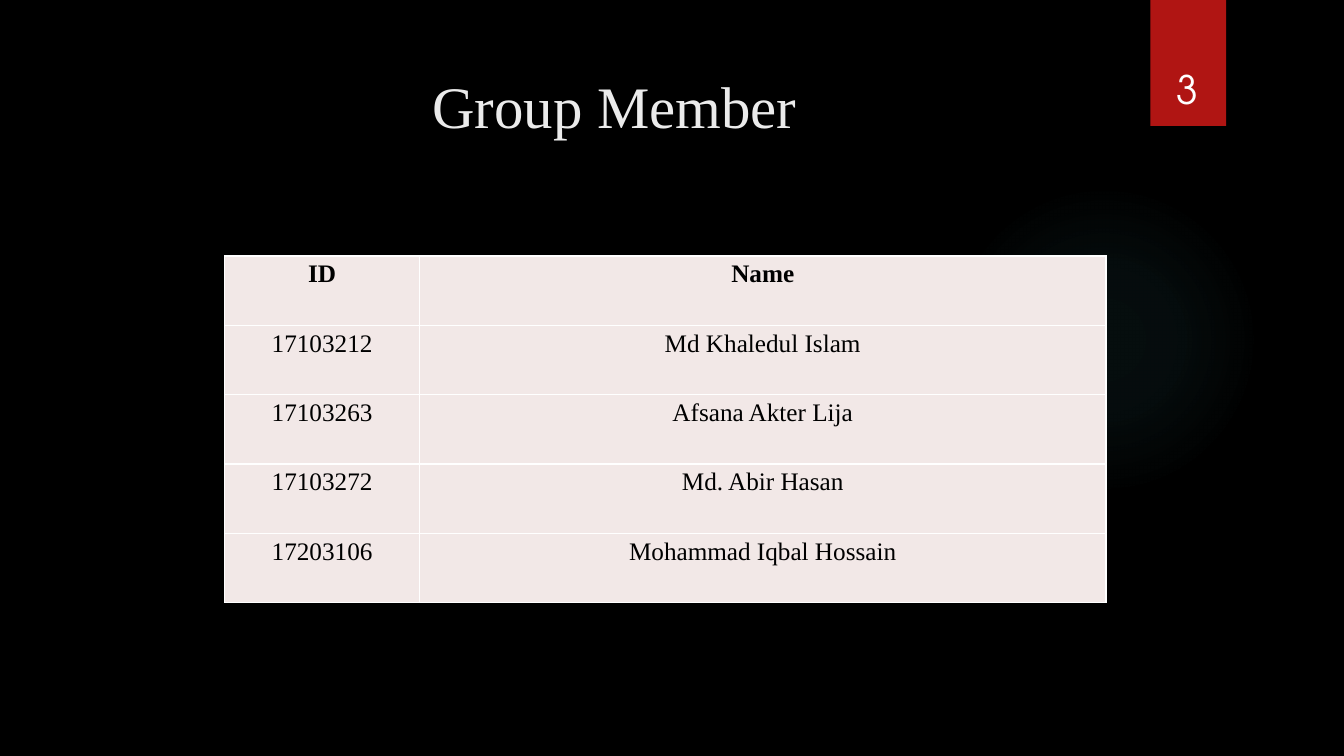
import pptx
import pptx.dml.color
import pptx.enum.shapes
import pptx.enum.text
import pptx.oxml
import pptx.oxml.ns
import pptx.util

RGB = pptx.dml.color.RGBColor
BLACK = RGB(0x00, 0x00, 0x00)
WHITE = RGB(0xFF, 0xFF, 0xFF)
PALE = RGB(0xEB, 0xEB, 0xEB)
BLUSH = RGB(0xF2, 0xE8, 0xE7)
RED = RGB(0xB0, 0x15, 0x13)
TEAL = RGB(0x50, 0xB9, 0xC1)

SERIF = "Times New Roman"
SANS = "TeX Gyre Adventor"
SHAPE = pptx.enum.shapes.MSO_SHAPE
ALIGN = pptx.enum.text.PP_ALIGN
ANCHOR = pptx.enum.text.MSO_ANCHOR

MEMBERS = [
    ("ID", "Name"),
    ("17103212", "Md Khaledul Islam"),
    ("17103263", "Afsana Akter Lija"),
    ("17103272", "Md. Abir Hasan"),
    ("17203106", "Mohammad Iqbal Hossain"),
]


class Page:
    """Draws styled elements on one slide, placed in percent of its size."""

    def __init__(self, deck, back):
        self.wide = deck.slide_width
        self.high = deck.slide_height
        self.slide = deck.slides.add_slide(deck.slide_layouts[6])
        self.slide.background.fill.solid()
        self.slide.background.fill.fore_color.rgb = back

    def across(self, share):
        return round(self.wide * share / 100)

    def down(self, share):
        return round(self.high * share / 100)

    def place(self, left, top, width, height):
        return (self.across(left), self.down(top),
                self.across(width), self.down(height))

    def shape(self, kind, box, color):
        item = self.slide.shapes.add_shape(kind, *self.place(*box))
        item.shadow.inherit = False
        item.fill.solid()
        item.fill.fore_color.rgb = color
        item.line.fill.background()
        return item

    def glow(self, box, color, stops):
        item = self.shape(SHAPE.OVAL, box, color)
        marks = "".join(
            f'<a:gs pos="{spot * 1000}"><a:srgbClr val="{color}">'
            f'<a:alpha val="{alpha * 1000}"/></a:srgbClr></a:gs>'
            for spot, alpha in stops)
        fill = pptx.oxml.parse_xml(
            f'<a:gradFill {pptx.oxml.ns.nsdecls("a")} rotWithShape="1">'
            f'<a:gsLst>{marks}</a:gsLst><a:path path="circle">'
            '<a:fillToRect l="50000" t="50000" r="50000" b="50000"/>'
            '</a:path></a:gradFill>')
        props = item.element.spPr
        props.replace(props.find(pptx.oxml.ns.qn("a:solidFill")), fill)

    def add_words(self, para, words, size, font, color, align, bold=False):
        para.alignment = align
        run = para.add_run()
        run.text = words
        run.font.size = pptx.util.Pt(size)
        run.font.name = font
        run.font.bold = bold
        run.font.color.rgb = color

    def text(self, words, box, size, font, color, align, anchor):
        frame = self.slide.shapes.add_textbox(*self.place(*box)).text_frame
        frame.word_wrap = True
        frame.vertical_anchor = anchor
        self.add_words(frame.paragraphs[0], words, size, font, color, align)

    def edge(self, cell, color):
        props = cell._tc.get_or_add_tcPr()
        for index, side in enumerate(("lnL", "lnR", "lnT", "lnB")):
            props.insert(index, pptx.oxml.parse_xml(
                f'<a:{side} {pptx.oxml.ns.nsdecls("a")} w="12700"><a:solidFill>'
                f'<a:srgbClr val="{color}"/></a:solidFill></a:{side}>'))

    def table(self, rows, box, widths):
        grid = self.slide.shapes.add_table(
            len(rows), len(widths), *self.place(*box)).table
        for column, width in zip(grid.columns, widths):
            column.width = self.across(width)
        for index, row in enumerate(rows):
            for cell, words in zip(grid.rows[index].cells, row):
                cell.margin_left = cell.margin_right = 0
                cell.margin_top = cell.margin_bottom = 0
                cell.fill.solid()
                cell.fill.fore_color.rgb = BLUSH
                para = cell.text_frame.paragraphs[0]
                para.line_spacing = 1.15
                para.space_before = pptx.util.Pt(5.6)
                self.add_words(para, words, 18, SERIF, BLACK, ALIGN.CENTER,
                               bold=index == 0)
                self.edge(cell, WHITE)


def main():
    deck = pptx.Presentation()
    deck.slide_width = pptx.util.Inches(13.33)
    deck.slide_height = pptx.util.Inches(7.5)
    page = Page(deck, BLACK)
    page.glow((70.59, 24.4, 23.1, 41.07), TEAL, [(0, 7), (36, 6), (69, 0)])
    page.shape(SHAPE.RECTANGLE, (85.6, 0, 5.63, 16.67), RED)
    page.text("Group Member", (31.43, 8.53, 32.7, 20.4), 42, SERIF, PALE,
              ALIGN.LEFT, ANCHOR.TOP)
    page.table(MEMBERS, (16.73, 33.87, 65.57, 45.87), (14.48, 51.09))
    page.text("3", (84.92, 4.27, 6.9, 11.2), 28, SANS, WHITE,
              ALIGN.CENTER, ANCHOR.BOTTOM)
    deck.save("out.pptx")


if __name__ == "__main__":
    main()
